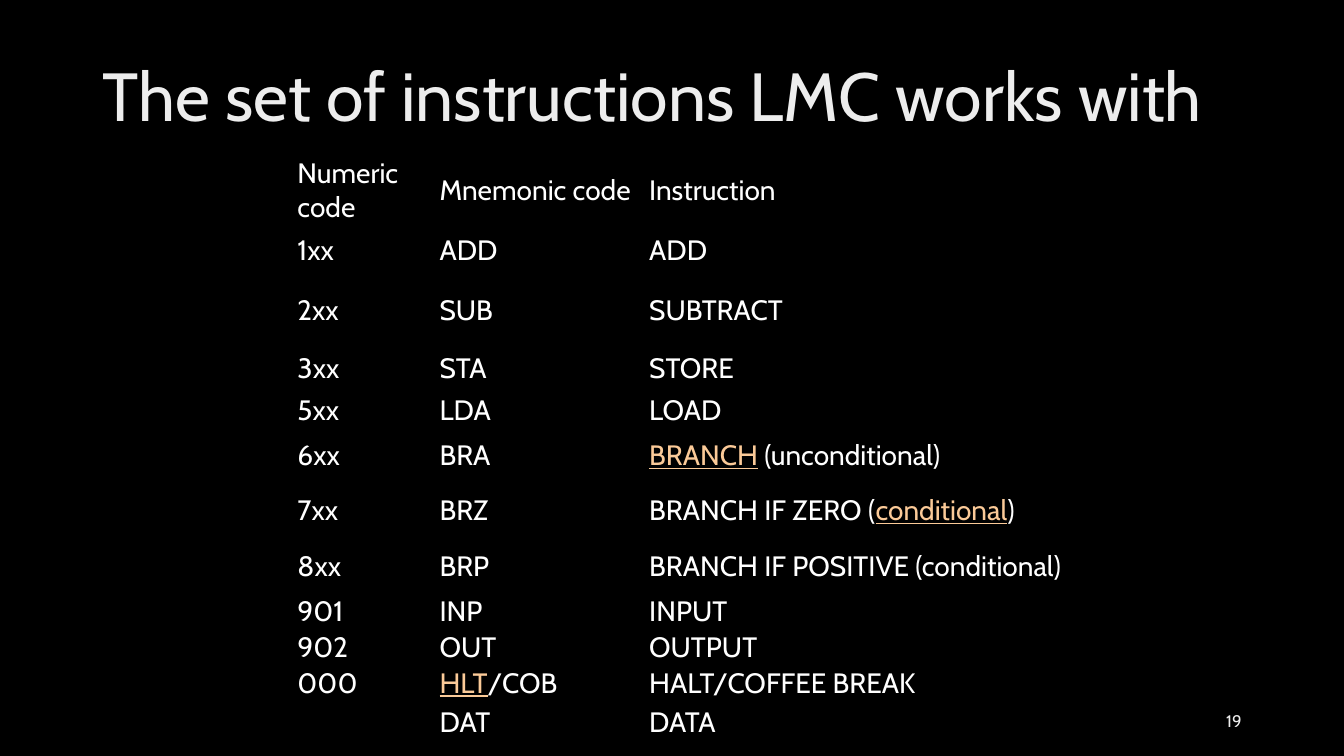
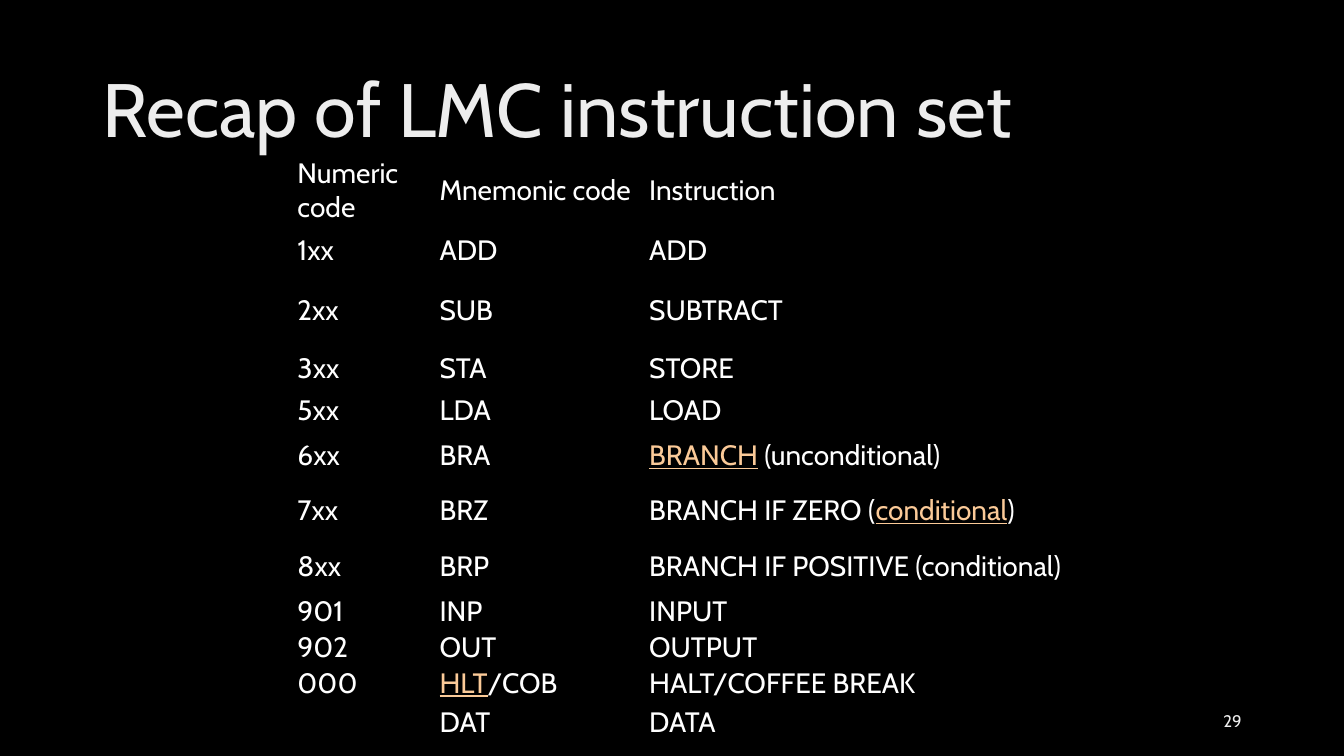
from pptx import Presentation
from pptx.dml.color import RGBColor
from pptx.enum.text import MSO_ANCHOR, PP_ALIGN
from pptx.oxml.ns import qn
from pptx.util import Pt

COLOURS = {"background": "000000", "heading": "EDEDED",
           "body": "FFFFFF", "term": "FBCA98"}
FONT = "Cabin"
NO_STYLE_NO_GRID = "{2D5ABB26-0587-4C30-8999-92F81FD0307C}"

COLUMN_WIDTHS = [101.5, 149.75, 415.5]
# Each row: height, numeric code, mnemonic code, instruction; |bars| mark a term.
INSTRUCTIONS = [
    (50, "Numeric code", "Mnemonic code", "Instruction"),
    (36.5, "1xx", "ADD", "ADD"),
    (49, "2xx", "SUB", "SUBTRACT"),
    (34, "3xx", "STA", "STORE"),
    (25.5, "5xx", "LDA", "LOAD"),
    (39.5, "6xx", "BRA", "|BRANCH| (unconditional)"),
    (39.5, "7xx", "BRZ", "BRANCH IF ZERO (|conditional|)"),
    (39.5, "8xx", "BRP", "BRANCH IF POSITIVE (conditional)"),
    (25.5, "901", "INP", "INPUT"),
    (25.5, "902", "OUT", "OUTPUT"),
    (25.5, "000", "|HLT|/COB", "HALT/COFFEE BREAK"),
    (31, "", "DAT", "DATA"),
]
# Each slide: title, title top, title size, page number.
SLIDES = [
    ("The set of instructions LMC works with", 18.75, 48.6, "19"),
    ("Recap of LMC instruction set", 28.75, 54, "29"),
]


def style_font(font, size, colour):
    """Apply the shared typeface with a size and a named colour."""
    font.name = FONT
    font.size = Pt(size)
    font.color.rgb = RGBColor.from_string(COLOURS[colour])


def add_label(page, text, area, size, align=PP_ALIGN.LEFT, line_spacing=1.0):
    """Add a vertically centred line of heading-coloured text."""
    box = page.shapes.add_textbox(*(Pt(length) for length in area))
    frame = box.text_frame
    frame.word_wrap = True
    frame.vertical_anchor = MSO_ANCHOR.MIDDLE
    frame.text = text
    para = frame.paragraphs[0]
    para.alignment = align
    para.line_spacing = line_spacing
    style_font(para.runs[0].font, size, "heading")


def fill_cell(cell, text):
    """Write a cell, underlining the terms between bars."""
    cell.fill.background()
    cell.vertical_anchor = MSO_ANCHOR.MIDDLE
    cell.margin_left = cell.margin_right = Pt(1.5)
    cell.margin_top = cell.margin_bottom = Pt(0.75)
    para = cell.text_frame.paragraphs[0]
    for index, piece in enumerate(text.split("|")):
        if piece:
            is_term = index % 2 == 1
            span = para.add_run()
            span.text = piece
            style_font(span.font, 20, "term" if is_term else "body")
            span.font.underline = is_term


def add_instruction_table(page):
    """Add the borderless table of instructions."""
    heights = [height for height, *texts in INSTRUCTIONS]
    table = page.shapes.add_table(
        len(INSTRUCTIONS), len(COLUMN_WIDTHS), Pt(211), Pt(110.75),
        Pt(sum(COLUMN_WIDTHS)), Pt(sum(heights))).table
    table.first_row = table.horz_banding = False
    table._tbl.tblPr.find(qn("a:tableStyleId")).text = NO_STYLE_NO_GRID
    for column, width in zip(table.columns, COLUMN_WIDTHS):
        column.width = Pt(width)
    for row, (height, *texts) in zip(table.rows, INSTRUCTIONS):
        row.height = Pt(height)
        for cell, text in zip(row.cells, texts):
            fill_cell(cell, text)


def add_page(deck, title, title_top, title_size, number):
    """Add a black slide with title, page number and instruction table."""
    page = deck.slides.add_slide(deck.slide_layouts[6])
    page.background.fill.solid()
    page.background.fill.fore_color.rgb = RGBColor.from_string(COLOURS["background"])
    add_label(page, title, (66, title_top, 828, 104.5), title_size, line_spacing=0.9)
    add_label(page, number, (678, 500.5, 216, 28.75), 12, PP_ALIGN.RIGHT)
    add_instruction_table(page)


def main():
    """Build and save the deck."""
    deck = Presentation()
    deck.slide_width, deck.slide_height = Pt(960), Pt(540)
    for slide in SLIDES:
        add_page(deck, *slide)
    deck.save("out.pptx")


main()
